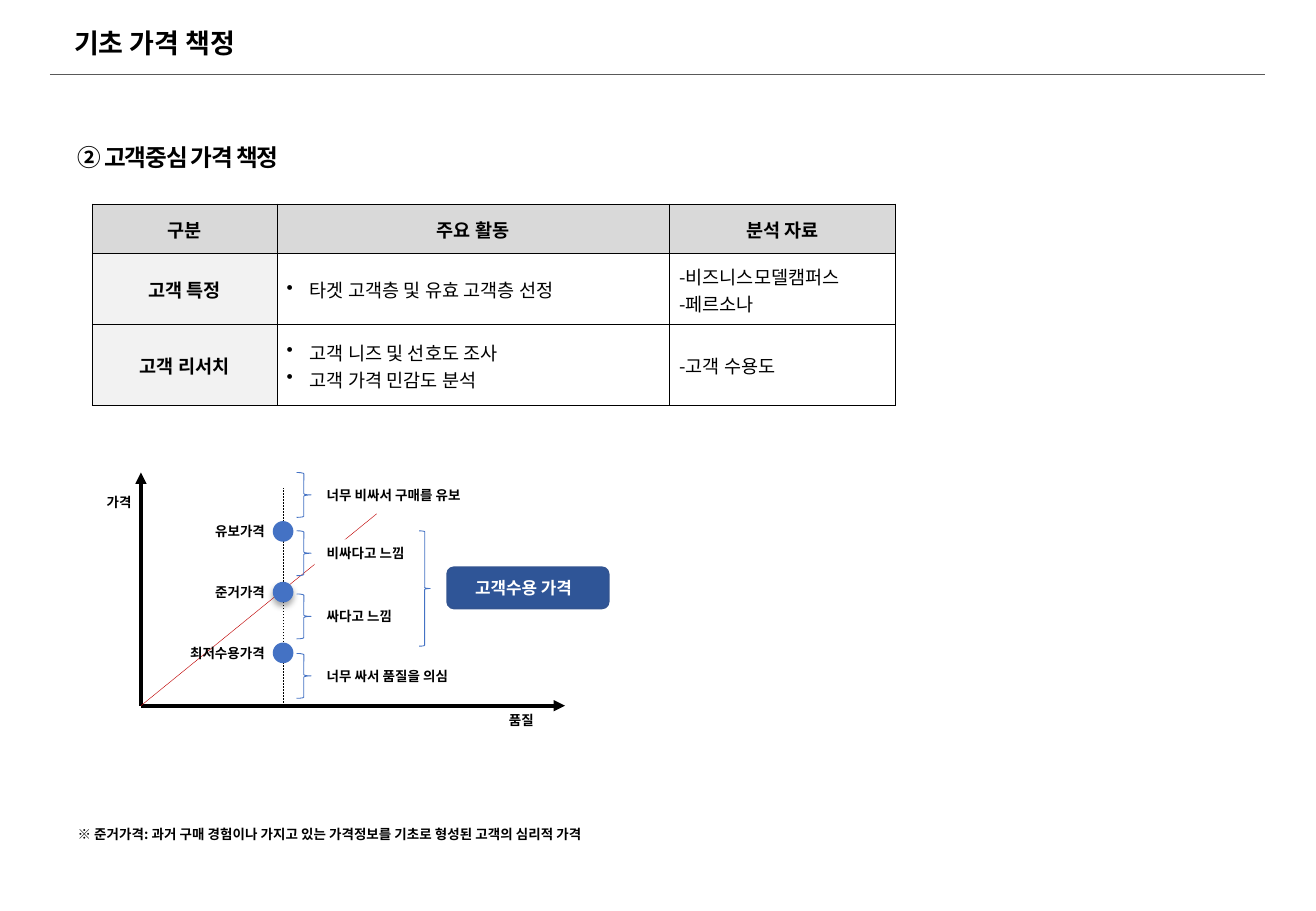
from dataclasses import dataclass

from lxml import etree
from pptx import Presentation
from pptx.dml.color import RGBColor
from pptx.enum import dml, shapes, text
from pptx.oxml import ns
from pptx.util import Inches, Pt


@dataclass(frozen=True)
class Theme:
    font: str = "Noto Sans CJK KR"
    black: str = "000000"
    white: str = "FFFFFF"
    rule: str = "595959"
    header: str = "D9D9D9"
    row_head: str = "F2F2F2"
    accent: str = "4472C4"
    button: str = "2F5597"
    button_line: str = "325491"
    trend: str = "C00000"
    title_size: float = 16
    heading_size: float = 14
    table_size: float = 11
    button_size: float = 10
    label_size: float = 8


THEME = Theme()
LEFT, CENTER, RIGHT = text.PP_ALIGN.LEFT, text.PP_ALIGN.CENTER, text.PP_ALIGN.RIGHT
SHAPE = shapes.MSO_SHAPE

COLUMNS = [1.52, 3.23, 1.86]
ROWS = [0.41, 0.58, 0.67]
TABLE = [
    [["구분"], ["주요 활동"], ["분석 자료"]],
    [["고객 특정"], ["타겟 고객층 및 유효 고객층 선정"], ["-비즈니스모델캠퍼스", "-페르소나"]],
    [["고객 리서치"], ["고객 니즈 및 선호도 조사", "고객 가격 민감도 분석"], ["-고객 수용도"]],
]

ORIGIN_X, ORIGIN_Y = 1.16, 5.81
PRICE_X, DOT_SIZE = 2.33, 0.17
# name, label width, dot top
PRICES = [("유보가격", 0.62, 4.29), ("준거가격", 0.62, 4.79), ("최저수용가격", 0.83, 5.29)]
# perception, label width, brace top
PERCEPTIONS = [
    ("너무 비싸서 구매를 유보", 1.35, 3.89),
    ("비싸다고 느낌", 0.86, 4.37),
    ("싸다고 느낌", 0.76, 4.89),
    ("너무 싸서 품질을 의심", 1.24, 5.38),
]


def rgb(color):
    return RGBColor.from_string(color)


def sub(parent, tag, **attributes):
    return etree.SubElement(parent, ns.qn(tag), attributes)


def write(paragraph, words, size, color=THEME.black, bold=True, align=LEFT, spacing=None):
    """Add one run, in the theme font for Latin and Korean alike."""
    paragraph.alignment = align
    run = paragraph.add_run()
    run.text = words
    font = run.font
    font.size, font.bold, font.name = Pt(size), bold, THEME.font
    font.color.rgb = rgb(color)
    properties = run._r.get_or_add_rPr()
    sub(properties, "a:ea", typeface=THEME.font)
    if spacing:
        properties.set("spc", str(round(spacing * 100)))


def add_title(slide, words):
    title = slide.shapes.title
    title.left, title.top, title.width, title.height = map(Inches, (0.51, 0.17, 5.8, 0.37))
    frame = title.text_frame
    frame.auto_size = text.MSO_AUTO_SIZE.NONE
    frame.vertical_anchor = text.MSO_ANCHOR.MIDDLE
    write(frame.paragraphs[0], words, THEME.title_size)


def add_label(slide, words, left, top, width, fill=None, align=LEFT):
    label = slide.shapes.add_textbox(*map(Inches, (left, top, width, 0.24)))
    if fill:
        label.fill.solid()
        label.fill.fore_color.rgb = rgb(fill)
    frame = label.text_frame
    frame.word_wrap = False
    frame.auto_size = text.MSO_AUTO_SIZE.SHAPE_TO_FIT_TEXT
    write(frame.paragraphs[0], words, THEME.label_size, align=align)


def add_heading(slide, words):
    heading = slide.shapes.add_textbox(*map(Inches, (0.54, 1.01, 2.51, 0.41)))
    heading.text_frame.word_wrap = True
    paragraph = heading.text_frame.paragraphs[0]
    paragraph.line_spacing = 1.5
    write(paragraph, words, THEME.heading_size, spacing=-0.7)


def add_line(slide, start, end, color, width, arrow=False, dash=None):
    line = slide.shapes.add_connector(
        shapes.MSO_CONNECTOR.STRAIGHT, *map(Inches, (*start, *end)))
    line.line.color.rgb = rgb(color)
    line.line.width = Pt(width)
    if dash:
        line.line.dash_style = dash
    if arrow:
        sub(line.line._get_or_add_ln(), "a:tailEnd", type="triangle")
    sub(line._element.spPr, "a:effectLst")


def add_figure(slide, kind, left, top, width, height, fill=None, line=None, weight=0.5):
    figure = slide.shapes.add_shape(kind, *map(Inches, (left, top, width, height)))
    figure.shadow.inherit = False
    if fill:
        figure.fill.solid()
        figure.fill.fore_color.rgb = rgb(fill)
    else:
        figure.fill.background()
    if line:
        figure.line.color.rgb = rgb(line)
        figure.line.width = Pt(weight)
    else:
        figure.line.fill.background()
    return figure


def add_soft_shadow(figure):
    effects = figure._element.spPr.find(ns.qn("a:effectLst"))
    shadow = sub(effects, "a:outerShdw", blurRad=str(Pt(3.5)), dist=str(Pt(2.2)),
                 dir="5400000", rotWithShape="0")
    sub(sub(shadow, "a:srgbClr", val=THEME.black), "a:alpha", val="32000")


def format_cell(cell, fill, margin_left):
    cell.vertical_anchor = text.MSO_ANCHOR.MIDDLE
    cell.margin_left = Inches(margin_left)
    cell.margin_top = cell.margin_right = Inches(0.01)
    cell.margin_bottom = 0
    properties = cell._tc.get_or_add_tcPr()
    for side in ("a:lnL", "a:lnR", "a:lnT", "a:lnB"):
        border = sub(properties, side, w=str(Pt(0.5)))
        sub(sub(border, "a:solidFill"), "a:srgbClr", val=THEME.black)
    if fill:
        cell.fill.solid()
        cell.fill.fore_color.rgb = rgb(fill)
    else:
        cell.fill.background()


def add_bullet(paragraph):
    properties = paragraph._p.get_or_add_pPr()
    properties.set("marL", str(Inches(0.19)))
    properties.set("indent", str(-Inches(0.19)))
    sub(properties, "a:buChar", char="•")


def add_activity_table(slide):
    table = slide.shapes.add_table(
        len(ROWS), len(COLUMNS), *map(Inches, (0.76, 1.68, sum(COLUMNS), sum(ROWS)))).table
    table.first_row = table.horz_banding = False
    for column, width in zip(table.columns, COLUMNS):
        column.width = Inches(width)
    for r, (row, height) in enumerate(zip(TABLE, ROWS)):
        table.rows[r].height = Inches(height)
        for c, lines in enumerate(row):
            cell = table.cell(r, c)
            heading = r == 0 or c == 0
            fill = THEME.header if r == 0 else THEME.row_head if c == 0 else None
            format_cell(cell, fill, 0.01 if heading else 0.08)
            frame = cell.text_frame
            for i, words in enumerate(lines):
                paragraph = frame.add_paragraph() if i else frame.paragraphs[0]
                if c == 1 and not heading:
                    add_bullet(paragraph)
                write(paragraph, words, THEME.table_size, bold=heading,
                      align=CENTER if heading else LEFT)


def add_price_diagram(slide):
    origin = (ORIGIN_X, ORIGIN_Y)
    add_label(slide, "가격", 0.78, 4.02, 0.41)
    add_label(slide, "품질", 4.09, ORIGIN_Y, 0.41)
    for axis_end in ((ORIGIN_X, 3.89), (4.65, ORIGIN_Y)):
        add_line(slide, origin, axis_end, THEME.black, 2.25, arrow=True)
    add_line(slide, origin, (3.1, 4.23), THEME.trend, 0.25)
    add_line(slide, (PRICE_X, ORIGIN_Y), (PRICE_X, 4.02), THEME.black, 0.25,
             dash=dml.MSO_LINE.DASH)
    for name, width, top in PRICES:
        dot = add_figure(slide, SHAPE.OVAL, PRICE_X - DOT_SIZE / 2, top,
                         DOT_SIZE, DOT_SIZE, fill=THEME.accent)
        if name == "준거가격":
            add_soft_shadow(dot)
        add_label(slide, name, 2.28 - width, top - 0.03, width, align=RIGHT)
    for perception, width, top in PERCEPTIONS:
        add_figure(slide, SHAPE.RIGHT_BRACE, 2.44, top, 0.12, 0.37, line=THEME.accent)
        add_label(slide, perception, 2.59, top + 0.07, width, fill=THEME.white)
    add_figure(slide, SHAPE.RIGHT_BRACE, 3.45, 4.37, 0.09, 0.95, line=THEME.accent)
    accepted = add_figure(slide, SHAPE.ROUNDED_RECTANGLE, 3.68, 4.67, 1.33, 0.34,
                          fill=THEME.button, line=THEME.button_line, weight=1)
    accepted.text_frame.margin_right = Inches(0.17)
    write(accepted.text_frame.paragraphs[0], "고객수용 가격", THEME.button_size,
          color=THEME.white, align=CENTER)


def main():
    deck = Presentation()
    deck.slide_width, deck.slide_height = Inches(10.83), Inches(7.5)
    slide = deck.slides.add_slide(deck.slide_layouts.get_by_name("Title Only"))
    add_title(slide, "기초 가격 책정")
    add_line(slide, (0.41, 0.61), (10.41, 0.61), THEME.rule, 0.25)
    add_heading(slide, "② 고객중심 가격 책정")
    add_activity_table(slide)
    add_price_diagram(slide)
    add_label(slide, "※ 준거가격: 과거 구매 경험이나 가지고 있는 가격정보를 기초로 형성된 고객의 심리적 가격",
              0.54, 6.75, 4.51)
    deck.save("out.pptx")


if __name__ == "__main__":
    main()
